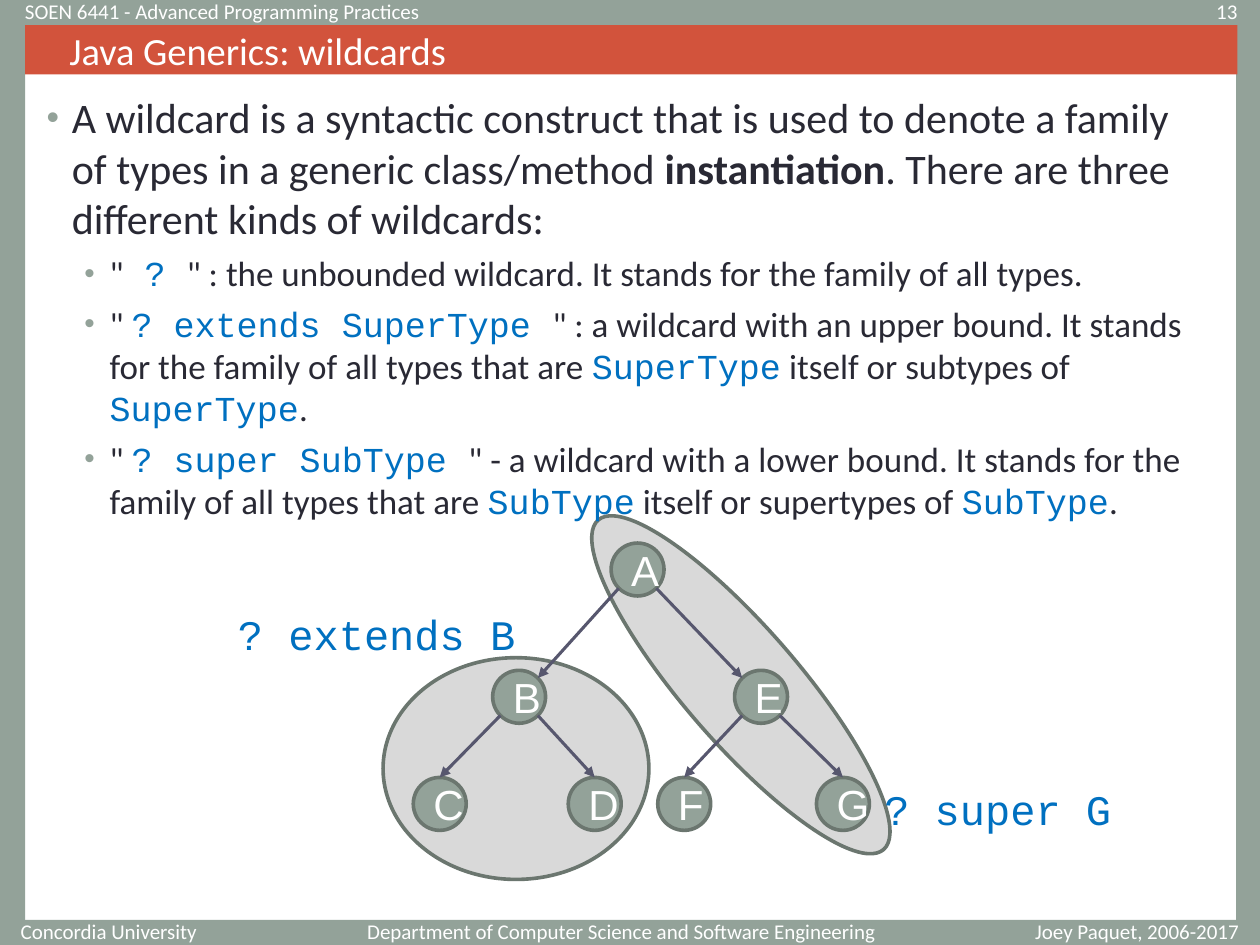
from dataclasses import dataclass

from lxml import etree
from pptx import Presentation
from pptx import util as u
from pptx.dml.color import RGBColor
from pptx.enum import shapes, text
from pptx.oxml import ns

CELL = 0.1  # inches; the slide is a grid of 100 columns by 75 rows
COLS, ROWS = 100, 75


@dataclass(frozen=True)
class Theme:
    sage: str = "93A299"
    red: str = "D2533C"
    white: str = "FFFFFF"
    ink: str = "292934"
    blue: str = "0070C0"
    pale: str = "D9D9D9"
    rim: str = "6B766F"
    edge: str = "57576E"
    sans: str = "Calibri"
    mono: str = "Courier New"
    node: str = "Arial"
    small: int = 12
    sub: int = 20
    head: int = 22
    big: int = 24


T = Theme()
LEFT, MID, RIGHT = text.PP_ALIGN.LEFT, text.PP_ALIGN.CENTER, text.PP_ALIGN.RIGHT

POINTS = [
    "A wildcard is a syntactic construct that is used to denote a family of types "
    "in a generic class/method |instantiation|. There are three different kinds of wildcards:",
    '"| ? |" : the unbounded wildcard. It stands for the family of all types.',
    '" |? extends SuperType |" : a wildcard with an upper bound. It stands for the family '
    "of all types that are |SuperType| itself or subtypes of |SuperType|.",
    '" |? super SubType |" - a wildcard with a lower bound. It stands for the family '
    "of all types that are |SubType| itself or supertypes of |SubType|.",
]


def cell(n):
    return u.Inches(n * CELL)


def grid(*nums):
    return [cell(n) for n in nums]


def hue(code):
    return RGBColor.from_string(code)


def add_run(para, words, size, face, color, bold=False):
    run = para.add_run()
    run.text = words
    font = run.font
    font.size, font.name, font.bold = u.Pt(size), face, bold
    font.color.rgb = hue(color)


def add_form(slide, kind, box, fill, rim=None):
    form = slide.shapes.add_shape(kind, *grid(*box))
    form.shadow.inherit = False
    form.fill.solid()
    form.fill.fore_color.rgb = hue(fill)
    if rim:
        form.line.color.rgb = hue(rim)
        form.line.width = u.Pt(2.07)
    else:
        form.line.fill.background()
    return form


def add_oval(slide, box, fill):
    return add_form(slide, shapes.MSO_SHAPE.OVAL, box, fill, T.rim)


def add_note(slide, box, words, align):
    frame = slide.shapes.add_textbox(*grid(*box)).text_frame
    frame.word_wrap = True
    frame.vertical_anchor = text.MSO_ANCHOR.MIDDLE
    para = frame.paragraphs[0]
    para.alignment = align
    add_run(para, words, T.small, T.sans, T.white)


def add_label(slide, box, words):
    frame = slide.shapes.add_textbox(*grid(*box)).text_frame
    frame.word_wrap = False
    frame.auto_size = text.MSO_AUTO_SIZE.SHAPE_TO_FIT_TEXT
    add_run(frame.paragraphs[0], words, T.big, T.mono, T.blue)


def add_arrow(slide, start, end):
    line = slide.shapes.add_connector(shapes.MSO_CONNECTOR.STRAIGHT, *grid(*start, *end))
    line.line.color.rgb = hue(T.edge)
    line.line.width = u.Pt(1.75)
    etree.SubElement(line.line._get_or_add_ln(), ns.qn("a:tailEnd"), type="triangle")
    etree.SubElement(line._element.spPr, ns.qn("a:effectLst"))


def set_place(form, box):
    form.left, form.top, form.width, form.height = grid(*box)
    # Bring the placeholder to the front
    form._element.getparent().append(form._element)


def set_indent(para, left, hang=0):
    props = para._p.get_or_add_pPr()
    props.set("marL", str(cell(left)))
    props.set("indent", str(cell(hang)))
    return props


def set_bullet(para, left):
    props = set_indent(para, left, -2)
    tint = etree.SubElement(props, ns.qn("a:buClr"))
    etree.SubElement(tint, ns.qn("a:srgbClr"), val=T.sage)
    etree.SubElement(props, ns.qn("a:buSzPct"), val="85000")
    etree.SubElement(props, ns.qn("a:buFont"), typeface="Arial")
    etree.SubElement(props, ns.qn("a:buChar"), char="•")


def draw_frame(slide, box):
    x, y, w, h = box
    # Border bands
    for band in [(x, y, w, 2), (x, y + h - 2, w, 2), (x, y, 2, h), (x + w - 1.9, y, 1.9, h)]:
        add_form(slide, shapes.MSO_SHAPE.RECTANGLE, band, T.sage)
    # Header and footer notes
    top, low = y + 0.3, y + h - 1.7
    notes = [
        (0.3, low, 16.7, "Concordia University ", RIGHT),
        (28, low, 42.5, "Department of Computer Science and Software Engineering", RIGHT),
        (79.9, low, 20.7, "Joey Paquet, 2006-2017", MID),
        (87.5, top, 11.7, "13", RIGHT),
        (1, top, 56, "SOEN 6441 - Advanced Programming Practices", LEFT),
    ]
    for col, row, wide, words, align in notes:
        add_note(slide, (x + col, row, wide, 1.2), words, align)


def draw_title(slide, box):
    title = slide.shapes.title
    set_place(title, box)
    title.fill.solid()
    title.fill.fore_color.rgb = hue(T.red)
    frame = title.text_frame
    frame.auto_size = text.MSO_AUTO_SIZE.NONE
    frame.vertical_anchor = text.MSO_ANCHOR.MIDDLE
    para = frame.paragraphs[0]
    para.alignment = LEFT
    set_indent(para, 2.5)
    add_run(para, "Java Generics: wildcards", T.head, T.sans, T.white)


def draw_body(slide, box):
    body = slide.placeholders[1]
    set_place(body, box)
    frame = body.text_frame
    frame.auto_size = text.MSO_AUTO_SIZE.NONE
    for i, words in enumerate(POINTS):
        para = frame.add_paragraph() if i else frame.paragraphs[0]
        para.level = 1 if i else 0
        set_bullet(para, 5 if i else 2)
        para.space_before = u.Pt(5 if i else 0)
        # Every second part is bold in the lead, code in the list
        for k, part in enumerate(words.split("|")):
            mark = k % 2 == 1
            if mark and i:
                add_run(para, part, T.sub, T.mono, T.blue)
            else:
                add_run(para, part, T.sub if i else T.big, T.sans, T.ink, mark)


def draw_sets(slide, box):
    x, y = box[:2]
    add_oval(slide, (x + 11.5, y + 7.8, 34.6, 9.1), T.pale).rotation = 49.1
    add_oval(slide, (x + 0.4, y + 10.2, 21.1, 17.6), T.pale)


def draw_tree(slide, box):
    x, y = box[:2]
    size = 4.2
    rows = (1.1, 11.2, 19.7)
    nodes = {"B": (9.1, 1), "C": (2.8, 2), "D": (15.1, 2), "A": (18.5, 0),
             "E": (28.3, 1), "F": (22.2, 2), "G": (34.8, 2)}
    mids = {}
    # Nodes
    for name, (col, row) in nodes.items():
        left, top = x + col, y + rows[row]
        mids[name] = (left + size / 2, top + size / 2)
        frame = add_oval(slide, (left, top, size, size), T.sage).text_frame
        frame.word_wrap = True
        frame.vertical_anchor = text.MSO_ANCHOR.MIDDLE
        frame.paragraphs[0].alignment = MID
        add_run(frame.paragraphs[0], name, T.big, T.node, T.white)
    # Edges leave on the diagonal; leaves are met at the top
    diag = size / 2 * 0.71
    for up, down in ("AB", "AE", "EG", "EF", "BD", "BC"):
        (ax, ay), (bx, by) = mids[up], mids[down]
        side = diag if bx > ax else -diag
        leaf = nodes[down][1] == 2
        end = (bx, by - size / 2) if leaf else (bx - side, by - diag)
        add_arrow(slide, (ax + side, ay + diag), end)
    # Labels
    add_label(slide, (x - 12.1, y + 5.8, 24.1, 5), "? extends B")
    add_label(slide, (x + 39.2, y + 19.7, 20, 5), "? super G")


def main():
    deck = Presentation()
    deck.slide_width, deck.slide_height = grid(COLS, ROWS)
    slide = deck.slides.add_slide(deck.slide_layouts[1])
    tree = (30, 42, 46, 28)
    draw_frame(slide, (0, 0, COLS, ROWS))
    draw_sets(slide, tree)
    draw_body(slide, (2.7, 6.8, 94.5, 65.4))
    draw_title(slide, (2, 2, 96.2, 3.9))
    draw_tree(slide, tree)
    deck.save("out.pptx")


if __name__ == "__main__":
    main()
